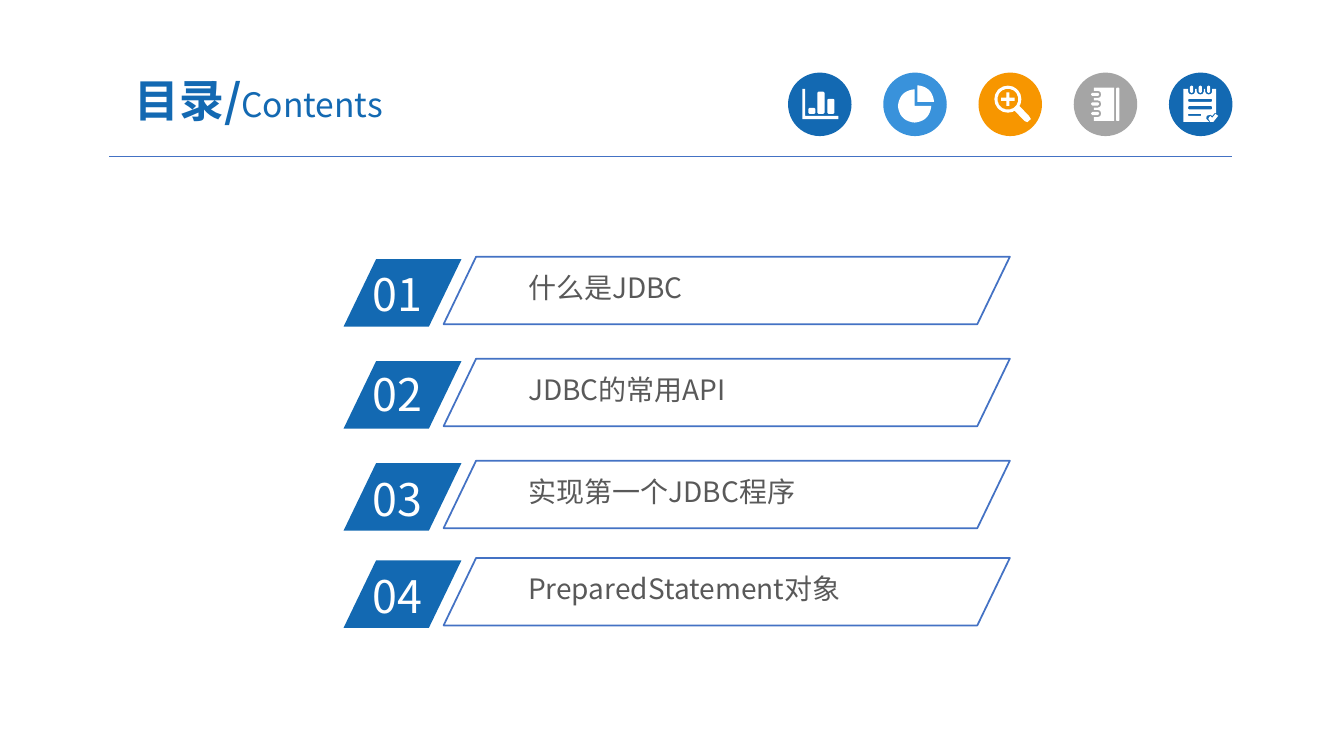
"""Build the contents slide of a JDBC course."""
from dataclasses import dataclass
from math import cos, radians, sin

import pptx
from pptx import util as u
from pptx.dml.color import RGBColor
from pptx.enum import shapes, text
from pptx.oxml import xmlchemy
from pptx.shapes import autoshape, shapetree
from pptx.text import text as runs

BLUE = RGBColor(0x13, 0x69, 0xB2)
SKY = RGBColor(0x39, 0x92, 0xDB)
ORANGE = RGBColor(0xF7, 0x96, 0x00)
GREY = RGBColor(0xA5, 0xA5, 0xA5)
OUTLINE = RGBColor(0x44, 0x72, 0xC4)
INK = RGBColor(0x59, 0x59, 0x59)
WHITE = RGBColor(0xFF, 0xFF, 0xFF)

FONT = "Noto Sans CJK SC"
SLANT = 0.482
DISC_SIZE = 1.6
DISC_LEFT, DISC_TOP, DISC_STEP = 19.86, 1.83, 2.4
ICON_UNIT = u.Cm(0.01)

Contour = list[tuple[float, float]]


@dataclass(frozen=True)
class Icon:
    disc: RGBColor
    contours: list[Contour]


@dataclass(frozen=True)
class Chapter:
    number: str
    title: str
    top: float
    number_top: float


@dataclass(frozen=True)
class Box:
    left: float
    top: float
    width: float
    height: float

    def lengths(self) -> tuple[u.Length, ...]:
        return tuple(u.Cm(n) for n in (self.left, self.top, self.width, self.height))


def arc(x: float, y: float, radius: float, start: int, end: int) -> Contour:
    steps = max(4, (end - start) // 10)
    angles = [radians(start + (end - start) * i / steps) for i in range(steps + 1)]
    return [(x + radius * cos(a), y + radius * sin(a)) for a in angles]


def rounded(left: float, top: float, right: float, bottom: float, r: float) -> Contour:
    return (arc(left + r, top + r, r, 180, 270) + arc(right - r, top + r, r, 270, 360)
            + arc(right - r, bottom - r, r, 0, 90) + arc(left + r, bottom - r, r, 90, 180))


def bar_chart() -> list[Contour]:
    axes = [(-44, -39), (-37, -39), (-37, 29), (47, 29), (47, 37), (-44, 37)]
    bars = [rounded(left, top, left + 18, 24, 4)
            for left, top in ((-29, 9), (-6, -32), (19, -14))]
    return [axes, *bars]


def pie() -> list[Contour]:
    return [[(-1, 4), *arc(-1, 4, 42, 0, 270)], [(6, -6), *arc(6, -6, 42, 270, 360)]]


def magnifier() -> list[Contour]:
    x, y = -6, -13
    handle = [(47, 29), (52, 37), (43, 45), (36, 42)]
    plus = [(x - 4, y - 17), (x + 4, y - 17), (x + 4, y - 4), (x + 17, y - 4),
            (x + 17, y + 4), (x + 4, y + 4), (x + 4, y + 17), (x - 4, y + 17),
            (x - 4, y + 4), (x - 17, y + 4), (x - 17, y - 4), (x - 4, y - 4)]
    return [arc(x, y, 34, 60, 390) + handle, arc(x, y, 26, 0, 360), plus]


def notebook() -> list[Contour]:
    ring_rows = (-25, -1, 23)
    cover = [(22, 42), (22, -42), (-29, -42)]
    for y in ring_rows:
        cover += [(-29, y - 9), *arc(-20, y, 9, 270, 450), (-29, y + 9)]
    cover.append((-29, 42))
    rings = [rounded(-36, y - 4, -16, y + 4, 4) for y in ring_rows]
    return [cover, rounded(27, -42, 35, 42, 3), *rings]


def notepad() -> list[Contour]:
    ring_columns = (-23, -1, 20)
    page = [(-44, 44), (-44, -39)]
    for x in ring_columns:
        page += [(x - 9, -39), *reversed(arc(x, -34, 9, 0, 180)), (x + 9, -39)]
    page += [(39, -39), (39, 22), (35, 22), (29, 29), (24, 26), (15, 29), (14, 37), (21, 44)]
    tick = [(19, 36), (24, 29), (29, 34), (37, 24), (44, 29), (32, 44), (24, 44)]
    rings = [rounded(x - 4, -47, x + 4, -29, 4) for x in ring_columns]
    rules = [rounded(-32, -14, 29, -6, 4), rounded(-32, 4, 29, 13, 4),
             rounded(-32, 24, 1, 29, 2)]
    return [page, tick, *rings, *rules]


def paint(shape: autoshape.Shape, fill: RGBColor) -> None:
    shape.shadow.inherit = False
    shape.fill.solid()
    shape.fill.fore_color.rgb = fill
    shape.line.fill.background()


def style(run: runs._Run, size: int, color: RGBColor, bold: bool = False) -> None:
    run.font.name = FONT
    run.font.size = u.Pt(size)
    run.font.bold = bold
    run.font.color.rgb = color
    east_asian = xmlchemy.OxmlElement("a:ea")
    east_asian.set("typeface", FONT)
    run.font.fill
    run._r.get_or_add_rPr().find(".//{*}latin").addnext(east_asian)


def draw_icon(canvas: shapetree.SlideShapes, icon: Icon, left: float) -> None:
    disc_box = Box(left, DISC_TOP, DISC_SIZE, DISC_SIZE)
    paint(canvas.add_shape(shapes.MSO_SHAPE.OVAL, *disc_box.lengths()), icon.disc)
    first, *others = icon.contours
    builder = canvas.build_freeform(*first[0], scale=ICON_UNIT)
    builder.add_line_segments(first[1:], close=True)
    for contour in others:
        builder.move_to(*contour[0])
        builder.add_line_segments(contour[1:], close=True)
    center = u.Cm(left + DISC_SIZE / 2), u.Cm(DISC_TOP + DISC_SIZE / 2)
    paint(builder.convert_to_shape(*center), WHITE)


def draw_text(canvas: shapetree.SlideShapes, box: Box, words: str, size: int,
              color: RGBColor, insets: tuple[float, float]) -> None:
    frame = canvas.add_textbox(*box.lengths()).text_frame
    frame.text = words
    frame.word_wrap = True
    frame.auto_size = text.MSO_AUTO_SIZE.SHAPE_TO_FIT_TEXT
    frame.margin_left = frame.margin_right = u.Cm(insets[0])
    frame.margin_top = frame.margin_bottom = u.Cm(insets[1])
    style(frame.paragraphs[0].runs[0], size, color)


def draw_slanted(canvas: shapetree.SlideShapes, box: Box) -> autoshape.Shape:
    slanted = canvas.add_shape(shapes.MSO_SHAPE.PARALLELOGRAM, *box.lengths())
    slanted.adjustments[0] = SLANT
    return slanted


def draw_chapter(canvas: shapetree.SlideShapes, chapter: Chapter) -> None:
    paint(draw_slanted(canvas, Box(8.66, chapter.top + 0.06, 2.97, 1.7)), BLUE)
    draw_text(canvas, Box(9.14, chapter.number_top, 2.84, 1.63), chapter.number,
              32, WHITE, (0.25, 0.13))
    draw_text(canvas, Box(13.13, chapter.top + 0.25, 10.46, 1.04), chapter.title,
              20, INK, (0.18, 0.1))
    panel = draw_slanted(canvas, Box(11.18, chapter.top, 14.27, 1.7))
    panel.shadow.inherit = False
    panel.fill.background()
    panel.line.color.rgb = OUTLINE
    panel.line.width = u.Pt(1.25)


def draw_heading(canvas: shapetree.SlideShapes) -> None:
    frame = canvas.add_textbox(*Box(2.34, 1.6, 8.36, 1.83).lengths()).text_frame
    frame.word_wrap = True
    frame.vertical_anchor = text.MSO_ANCHOR.MIDDLE
    frame.margin_left = frame.margin_right = u.Cm(0.33)
    frame.margin_top = frame.margin_bottom = u.Cm(0.18)
    heading = frame.paragraphs[0]
    heading.alignment = text.PP_ALIGN.CENTER
    heading.space_before = u.Pt(6.4)
    for words, size, bold in (("目录/", 32, True), ("Contents", 24, False)):
        run = heading.add_run()
        run.text = words
        style(run, size, BLUE, bold)


def main() -> None:
    deck = pptx.Presentation()
    deck.slide_width, deck.slide_height = u.Cm(33.87), u.Cm(19.05)
    canvas = deck.slides.add_slide(deck.slide_layouts[6]).shapes

    rule = canvas.add_connector(shapes.MSO_CONNECTOR.STRAIGHT, u.Cm(2.75), u.Cm(3.94),
                                u.Cm(31.06), u.Cm(3.94))
    rule.line.color.rgb = OUTLINE
    rule.line.width = u.Pt(0.5)
    rule._element.spPr.append(xmlchemy.OxmlElement("a:effectLst"))

    icons = [Icon(BLUE, bar_chart()), Icon(SKY, pie()), Icon(ORANGE, magnifier()),
             Icon(GREY, notebook()), Icon(BLUE, notepad())]
    for place, icon in enumerate(icons):
        draw_icon(canvas, icon, DISC_LEFT + place * DISC_STEP)
    draw_heading(canvas)
    for chapter in (Chapter("01", "什么是JDBC", 6.47, 6.58),
                    Chapter("02", "JDBC的常用API", 9.04, 9.1),
                    Chapter("03", "实现第一个JDBC程序", 11.61, 11.76),
                    Chapter("04", "PreparedStatement对象", 14.06, 14.2)):
        draw_chapter(canvas, chapter)
    deck.save("out.pptx")


if __name__ == "__main__":
    main()
